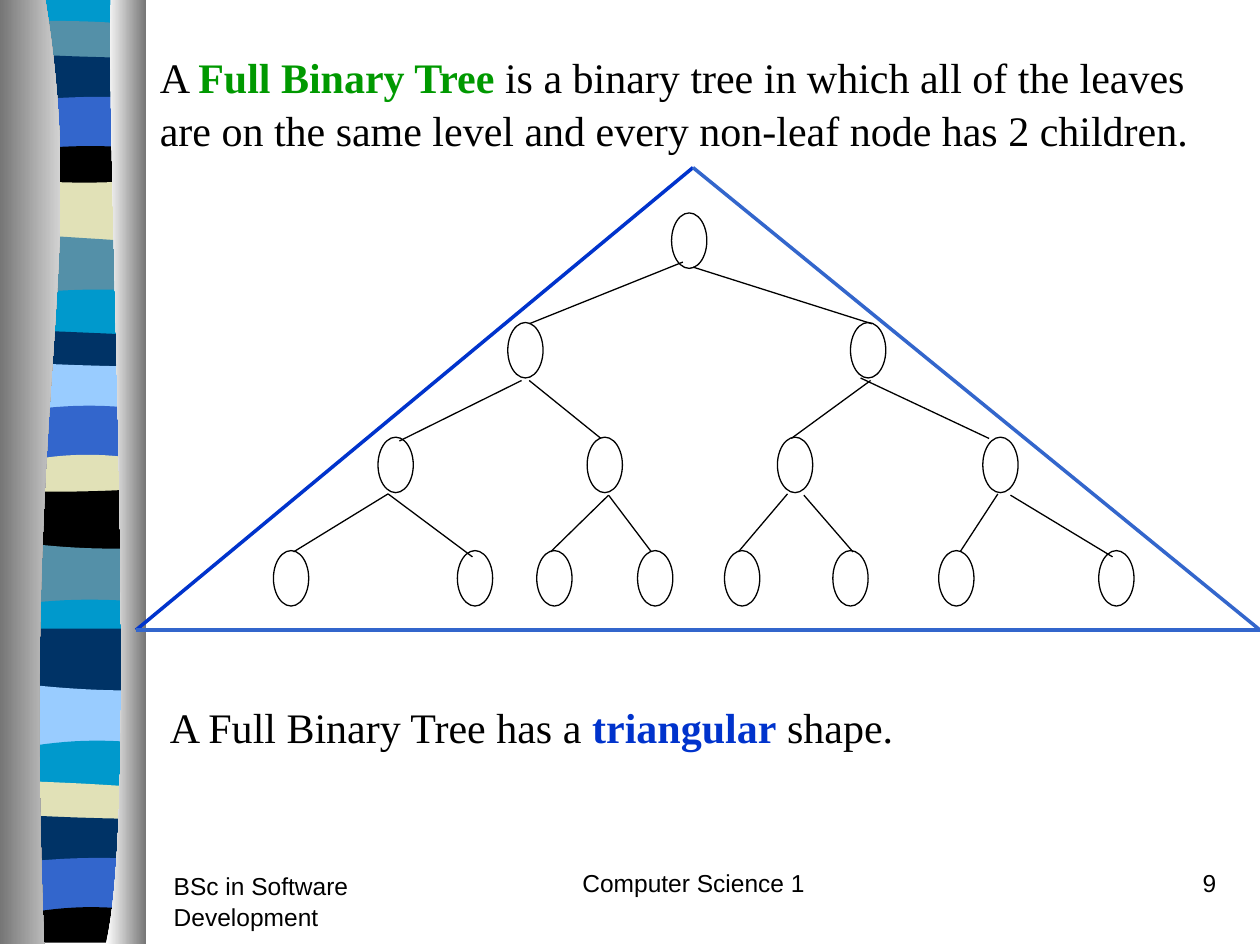
from lxml.etree import SubElement
from pptx import Presentation
from pptx.dml.color import RGBColor
from pptx.enum.shapes import MSO_CONNECTOR, MSO_SHAPE
from pptx.enum.text import PP_ALIGN
from pptx.oxml.ns import qn
from pptx.util import Inches, Pt

BLACK = RGBColor(0x00, 0x00, 0x00)
WHITE = RGBColor(0xFF, 0xFF, 0xFF)
GREEN = RGBColor(0x00, 0x99, 0x00)
BLUE = RGBColor(0x00, 0x33, 0xCC)
ROYAL = RGBColor(0x33, 0x66, 0xCC)
NAVY = RGBColor(0x00, 0x33, 0x66)
CYAN = RGBColor(0x00, 0x99, 0xCC)
TEAL = RGBColor(0x54, 0x90, 0xA8)
SAND = RGBColor(0xE1, 0xE1, 0xB7)
SKY = RGBColor(0x99, 0xCC, 0xFF)
GRAY = RGBColor(0x76, 0x76, 0x76)
SILVER = RGBColor(0xD3, 0xD3, 0xD3)

# Ribbon bands: colour, then height of the top edge at left, middle and right
BANDS = [
    (CYAN, 0, 0, 0), (TEAL, 0.17, 0.17, 0.2), (NAVY, 0.43, 0.45, 0.46),
    (ROYAL, 0.8, 0.77, 0.78), (BLACK, 1.19, 1.16, 1.18), (SAND, 1.43, 1.45, 1.43),
    (TEAL, 1.86, 1.89, 1.92), (CYAN, 2.33, 2.3, 2.31), (NAVY, 2.62, 2.64, 2.66),
    (SKY, 2.88, 2.9, 2.91), (ROYAL, 3.26, 3.22, 3.25), (SAND, 3.66, 3.61, 3.65),
    (BLACK, 3.9, 3.9, 3.88), (TEAL, 4.31, 4.35, 4.35), (CYAN, 4.79, 4.76, 4.78),
    (NAVY, 4.99, 4.99, 4.99), (SKY, 5.43, 5.47, 5.48), (CYAN, 5.93, 5.88, 5.9),
    (SAND, 6.2, 6.22, 6.25), (NAVY, 6.47, 6.49, 6.5), (ROYAL, 6.84, 6.81, 6.82),
    (BLACK, 7.25, 7.2, 7.23), 
]
RIBBON_LEFT, RIBBON_RIGHT, RIBBON_BOTTOM = 0.2, 1.14, 7.48

# Columns beside the ribbon: curved edge, outer side, gradient colours
COLUMNS = [
    ([(0.36, 0), (0.71, 2.16), (0.17, 2.96), (0.35, 7.49)], 0, (GRAY, SILVER)),
    ([(0.88, 0), (0.84, 1.25), (1.11, 6.46), (0.84, 7.49)], 1.16, (WHITE, GRAY)),
]

# Tree levels: top of the nodes, left of each node
NODE_W, NODE_H = 0.28, 0.44
LEVELS = [
    (1.69, [5.33]),
    (2.56, [4.03, 6.75]),
    (3.47, [3, 4.66, 6.17, 7.8]),
    (4.37, [2.17, 3.63, 4.26, 5.06, 5.75, 6.61, 7.45, 8.72]),
]
BRANCHES = [
    ((5.42, 2.08), (4.2, 2.57)), ((5.5, 2.12), (6.92, 2.57)),
    ((4.14, 3.02), (3.17, 3.5)), ((4.2, 3.02), (4.77, 3.48)),
    ((6.91, 3.02), (6.28, 3.48)), ((6.83, 3), (7.85, 3.48)),
    ((3.08, 3.92), (2.33, 4.38)), ((3.08, 3.92), (3.75, 4.42)),
    ((4.83, 3.93), (4.37, 4.38)), ((4.83, 3.93), (5.17, 4.38)),
    ((6.25, 3.92), (5.86, 4.38)), ((6.38, 3.93), (6.77, 4.38)),
    ((7.92, 3.92), (7.62, 4.38)), ((8.02, 3.93), (8.83, 4.42)),
]
APEX, BASE_LEFT, BASE_RIGHT = (5.5, 1.33), (1.08, 5), (10, 5)
TRIANGLE = [(APEX, BASE_LEFT, BLUE), (APEX, BASE_RIGHT, ROYAL),
            (BASE_LEFT, BASE_RIGHT, ROYAL)]

# Text: box, runs with an accent colour where bold
STATEMENTS = [
    ((1.17, 0.34, 8.5, 0.9), [
        ("A ", None), ("Full Binary Tree", GREEN),
        (" is a binary tree in which all of the leaves are on the same level "
         "and every non-leaf node has 2 children.", None)]),
    ((1.25, 5.5, 8.42, 0.5), [
        ("A Full Binary Tree has a ", None), ("triangular", BLUE), (" shape.", None)]),
]
FOOTERS = [
    ((3.92, 6.83, 3.17, 0.5), "Computer Science 1", PP_ALIGN.CENTER),
    ((7.67, 6.83, 2.08, 0.5), "9", PP_ALIGN.RIGHT),
    ((1.28, 6.85, 2.08, 0.5), "BSc in Software Development", PP_ALIGN.LEFT),
]

prs = Presentation()
prs.slide_width, prs.slide_height = Inches(10), Inches(7.5)
slide = prs.slides.add_slide(prs.slide_layouts[6])
shapes = slide.shapes


def add_outline(points):
    start, *rest = [(Inches(x), Inches(y)) for x, y in points]
    builder = shapes.build_freeform(*start)
    builder.add_line_segments(rest, close=True)
    outline = builder.convert_to_shape()
    outline.shadow.inherit = False
    outline.line.fill.background()
    return outline


def band_edge(left, middle, right, steps=12):
    """Points of the parabola through the three heights."""
    points = []
    for i in range(steps + 1):
        t = i / steps
        y = (left * (1 - t) * (1 - 2 * t) + 4 * middle * t * (1 - t)
             + right * t * (2 * t - 1))
        points.append((RIBBON_LEFT + t * (RIBBON_RIGHT - RIBBON_LEFT), y))
    return points


def bezier(controls, steps=40):
    points = []
    for i in range(steps + 1):
        t = i / steps
        weights = ((1 - t) ** 3, 3 * t * (1 - t) ** 2, 3 * t * t * (1 - t), t ** 3)
        points.append(tuple(sum(w * c[axis] for w, c in zip(weights, controls))
                            for axis in (0, 1)))
    return points


def add_line(start, end, color, width):
    line = shapes.add_connector(MSO_CONNECTOR.STRAIGHT,
                                *[Inches(v) for v in start + end])
    line.line.color.rgb = color
    line.line.width = Pt(width)
    SubElement(line._element.spPr, qn("a:effectLst"))


def add_text(box, runs, font, size, before, align=PP_ALIGN.LEFT):
    frame = shapes.add_textbox(*[Inches(v) for v in box]).text_frame
    frame.word_wrap = True
    paragraph = frame.paragraphs[0]
    paragraph.alignment = align
    paragraph.space_before = Pt(before)
    paragraph.line_spacing = 1.05
    paragraph.font.name, paragraph.font.size = font, Pt(size)
    paragraph.font.color.rgb = BLACK
    for text, accent in runs:
        run = paragraph.add_run()
        run.text = text
        if accent:
            run.font.bold = True
            run.font.color.rgb = accent


# Ribbon: each band reaches a little under the next one
bottoms = [max(heights) + 0.05 for _, *heights in BANDS[1:]] + [RIBBON_BOTTOM]
for (color, *heights), bottom in zip(BANDS, bottoms):
    band = add_outline(band_edge(*heights)
                       + [(RIBBON_RIGHT, bottom), (RIBBON_LEFT, bottom)])
    band.fill.solid()
    band.fill.fore_color.rgb = color

# Shaded columns
for controls, side, colors in COLUMNS:
    column = add_outline(bezier(controls) + [(side, 7.49), (side, 0)])
    column.fill.gradient()
    column.fill.gradient_angle = 0
    for stop, color in zip(column.fill.gradient_stops, colors):
        stop.color.rgb = color

# Tree
for top, lefts in LEVELS:
    for left in lefts:
        node = shapes.add_shape(MSO_SHAPE.OVAL, Inches(left), Inches(top),
                                Inches(NODE_W), Inches(NODE_H))
        node.shadow.inherit = False
        node.fill.background()
        node.line.color.rgb = BLACK
        node.line.width = Pt(0.75)
for start, end in BRANCHES:
    add_line(start, end, BLACK, 0.75)

# Triangle around the tree
for start, end, color in TRIANGLE:
    add_line(start, end, color, 2)

# Statements and footer
for box, runs in STATEMENTS:
    add_text(box, runs, "Times New Roman", 24, 15)
for box, text, align in FOOTERS:
    add_text(box, [(text, None)], "Arial", 14, 8.8, align)

prs.save("out.pptx")
